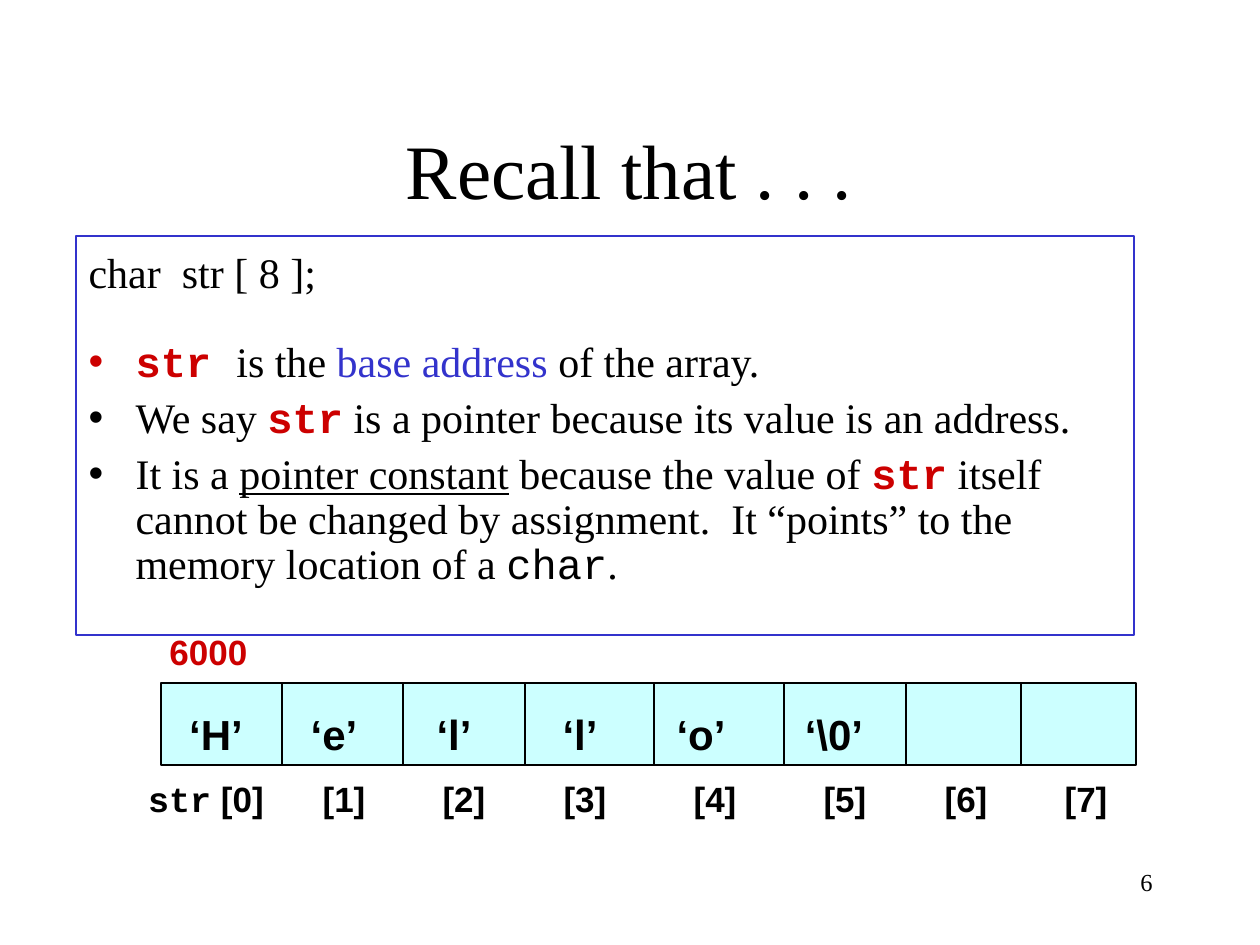
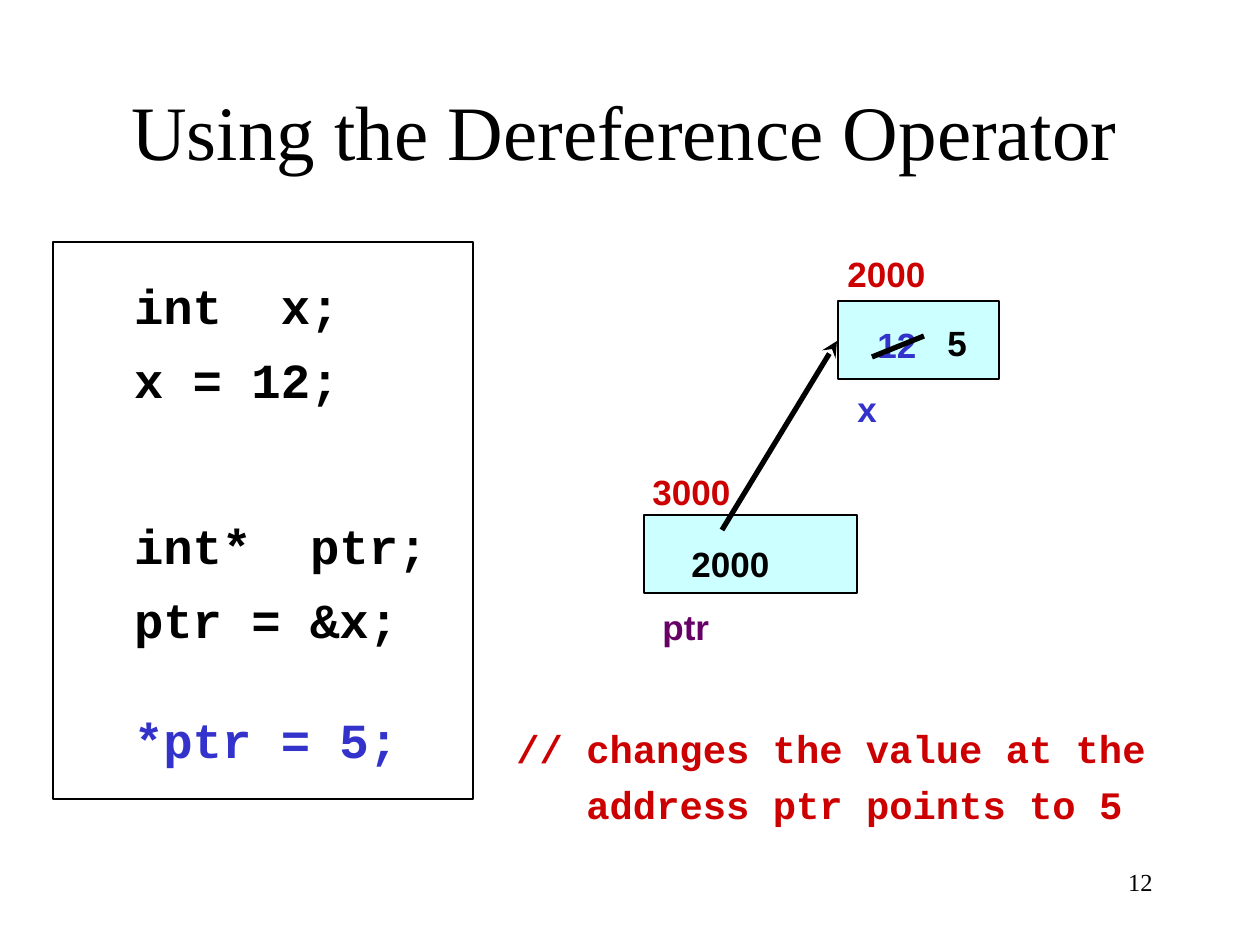
"""Build two lecture slides on C pointers: the array base address and the dereference operator."""
from lxml import etree
from pptx import Presentation
from pptx import util as u
from pptx.dml.color import RGBColor
from pptx.enum import shapes, text
from pptx.oxml.ns import qn

PX = u.Inches(10) / 1260
COLORS = {"black": "000000", "white": "FFFFFF", "red": "CC0000", "blue": "3333CC",
          "purple": "660066", "cell": "CCFFFF"}
SERIF, SANS, MONO = "Times New Roman", "Arial", "Courier New"
LEFT, CENTER, RIGHT = text.PP_ALIGN.LEFT, text.PP_ALIGN.CENTER, text.PP_ALIGN.RIGHT


def place(slide, bounds, fill=None, line=None):
    """Add a rectangle, or a text box when it has neither fill nor line."""
    box = [round(n * PX) for n in bounds]
    if not fill and not line:
        area = slide.shapes.add_textbox(*box)
        area.text_frame.word_wrap = True
        return area
    area = slide.shapes.add_shape(shapes.MSO_SHAPE.RECTANGLE, *box)
    area.shadow.inherit = False
    area.fill.solid()
    area.fill.fore_color.rgb = RGBColor.from_string(COLORS[fill])
    if line:
        area.line.color.rgb = RGBColor.from_string(COLORS[line])
        area.line.width = u.Pt(1)
    else:
        area.line.fill.background()
    area.text_frame.vertical_anchor = text.MSO_ANCHOR.TOP
    return area


def write(area, *runs, size=20, font=SANS, color="black", bold=False, align=LEFT,
          before=0, spacing=1.0, left=0, hang=0, bullet=None):
    """Append a paragraph; a run is a string or a pair of string and format changes."""
    frame = area.text_frame
    paragraph = frame.paragraphs[0] if not frame.text else frame.add_paragraph()
    paragraph.alignment = align
    paragraph.space_before = u.Pt(before)
    paragraph.line_spacing = spacing
    props = paragraph._p.get_or_add_pPr()
    props.set("marL", str(round(left * PX)))
    props.set("indent", str(round(-hang * PX)))
    if bullet:
        tint = etree.SubElement(props, qn("a:buClr"))
        etree.SubElement(tint, qn("a:srgbClr")).set("val", COLORS[bullet])
        etree.SubElement(props, qn("a:buChar")).set("char", "•")
    else:
        etree.SubElement(props, qn("a:buNone"))
    base = {"size": size, "font": font, "color": color, "bold": bold, "underline": False}
    for item in runs:
        words, changes = (item, {}) if isinstance(item, str) else item
        look = {**base, **changes}
        run = paragraph.add_run()
        run.text = words
        run.font.size = u.Pt(look["size"])
        run.font.name = look["font"]
        run.font.bold = look["bold"]
        run.font.underline = look["underline"]
        run.font.color.rgb = RGBColor.from_string(COLORS[look["color"]])


deck = Presentation()
deck.slide_width, deck.slide_height = u.Inches(10), u.Inches(7.5)

pages = []
for heading, number, title_box, body_box in [
    ("Recall that . . .", "6", (94, 63, 1071, 158), (76, 236, 1058, 399)),
    ("Using the Dereference Operator", "12", (84, 24, 1081, 158), (92, 257, 359, 586)),
]:
    slide = deck.slides.add_slide(deck.slide_layouts[1])
    title, body = slide.shapes.title, slide.placeholders[1]
    for part, bounds in ((title, title_box), (body, body_box)):
        part.left, part.top, part.width, part.height = [round(n * PX) for n in bounds]
        part.text_frame.auto_size = text.MSO_AUTO_SIZE.NONE
        part.text_frame.word_wrap = True
    title.text_frame.vertical_anchor = text.MSO_ANCHOR.BOTTOM
    write(title, heading, size=44, font=SERIF, align=CENTER)
    write(place(slide, (903, 861, 262, 63)), number, size=14, font=SERIF, align=RIGHT)
    pages.append((slide, body))

(recall, facts), (dereference, code) = pages

facts.line.color.rgb = RGBColor.from_string(COLORS["blue"])
facts.line.width = u.Pt(0.75)
facts.text_frame.margin_top = round(16 * PX)
name = {"font": MONO, "color": "red", "bold": True}
write(facts, "char  str [ 8 ];", size=24, font=SERIF, spacing=0.9)
for before, bullet, runs in [
    (25, "red", [("str ", name), "is the ", ("base address ", {"color": "blue"}),
                 "of the array."]),
    (6, "black", ["We say ", ("str", name),
                  " is a pointer because its value is an address."]),
    (6, "black", ["It is a ", ("pointer constant", {"underline": True}),
                  " because the value of ", ("str", name),
                  " itself cannot be changed by assignment.  It “points” to the "
                  "memory location of a ", ("char", {"font": MONO}), "."]),
]:
    write(facts, *runs, size=24, font=SERIF, before=before, spacing=0.9,
          left=47, hang=47, bullet=bullet)

ARRAY_TOP, ARRAY_HEIGHT = 683, 82
for left, right in ((161, 784), (784, 1136)):
    place(recall, (left, ARRAY_TOP, right - left, ARRAY_HEIGHT), "cell", "black")
for middle, letter in zip((216, 334, 454, 580, 701, 834), ("H", "e", "l", "l", "o", "\\0")):
    write(place(recall, (middle - 60, 702, 120, 63)), f"‘{letter}’",
          size=24, bold=True, align=CENTER)
for index, middle in enumerate((206, 344, 464, 585, 715, 845, 966, 1086)):
    prefix = [("str", {"font": MONO}), " "] if index == 0 else []
    write(place(recall, (middle - 80, 771, 160, 54)), *prefix, f"[{index}]",
          bold=True, align=CENTER)
write(place(recall, (157, 624, 103, 54)), "6000", color="red", bold=True)

place(dereference, (53, 242, 420, 557), "white", "black")
code.element.getparent().append(code.element)
code.text_frame.margin_left = round(42 * PX)
code.text_frame.margin_top = round(18 * PX)
for statement, before, color in [
    ("int  x;", 0, "black"), ("x = 12;", 9, "black"), ("int*  ptr;", 61, "black"),
    ("ptr = &x;", 9, "black"), ("*ptr = 5;", 35, "blue"),
]:
    write(code, statement, size=28, font=MONO, bold=True, before=before, color=color)

for variable in ((838, 301, 161, 78), (644, 515, 213, 78)):
    place(dereference, variable, "cell", "black")
for label, left, top, color in [
    ("2000", 835, 246, "red"), ("12", 865, 317, "blue"), ("x", 845, 381, "blue"),
    ("3000", 640, 464, "red"), ("2000", 679, 536, "black"), ("ptr", 650, 599, "purple"),
]:
    write(place(dereference, (left, top, 110, 54)), label, color=color, bold=True)
new_value = place(dereference, (935, 315, 44, 55), "cell")
new_value.text_frame.word_wrap = False
write(new_value, "5", bold=True)

comment = place(dereference, (504, 714, 714, 116))
comment.text_frame.margin_top = round(16 * PX)
for words, before, left in (("// changes the value at the", 0, 0),
                            ("address ptr points to 5", 8, 70)):
    write(comment, words, size=22.2, font=MONO, color="red", bold=True,
          before=before, spacing=0.9, left=left)

dividers = [(recall, (x, ARRAY_TOP, x, ARRAY_TOP + ARRAY_HEIGHT), 1, None)
            for x in (282, 403, 525, 654, 906, 1021)]
strike = (dereference, (872, 357, 924, 336), 3, None)
pointer = (dereference, (722, 530, 837, 341), 3, "stealth")
for slide, ends, weight, head in [*dividers, strike, pointer]:
    stroke = slide.shapes.add_connector(shapes.MSO_CONNECTOR.STRAIGHT,
                                        *[round(n * PX) for n in ends])
    stroke.line.color.rgb = RGBColor.from_string(COLORS["black"])
    stroke.line.width = u.Pt(weight)
    if head:
        etree.SubElement(stroke.line._get_or_add_ln(), qn("a:tailEnd")).set("type", head)
    etree.SubElement(stroke.element.spPr, qn("a:effectLst"))

deck.save("out.pptx")
